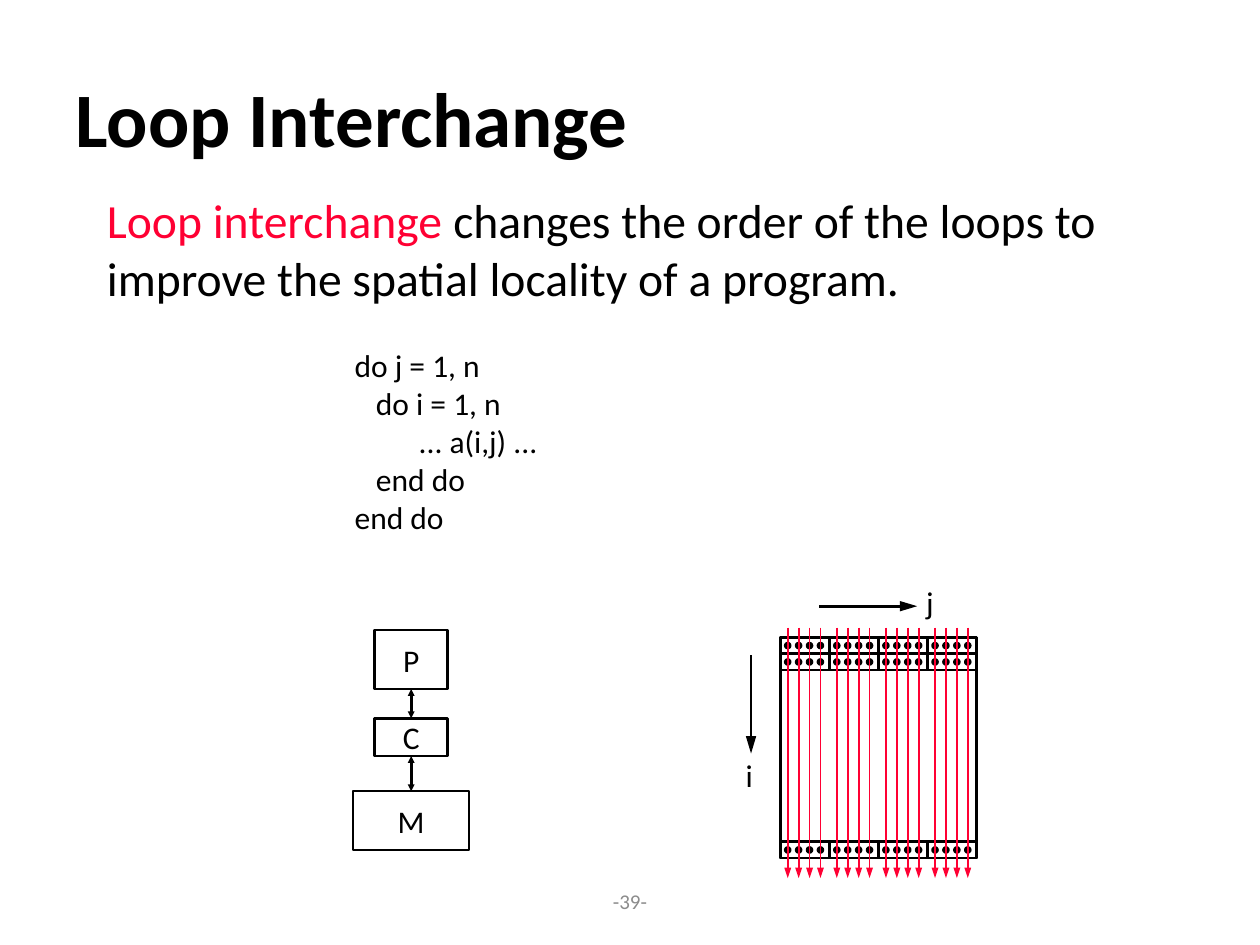
from typing import NamedTuple

import pptx
import pptx.dml.color
import pptx.enum.shapes
import pptx.enum.text
import pptx.oxml.ns
import pptx.util
from lxml import etree

Cm = pptx.util.Cm
Pt = pptx.util.Pt
Shape = pptx.enum.shapes.MSO_SHAPE
Align = pptx.enum.text.PP_ALIGN
Anchor = pptx.enum.text.MSO_ANCHOR
qn = pptx.oxml.ns.qn

FONT = "Calibri"
BLACK, WHITE, RED, GREY = "000000", "FFFFFF", "FF0033", "8C8C8C"


class Box(NamedTuple):
    """Position and size in centimetres."""
    x: float
    y: float
    w: float
    h: float


class Level(NamedTuple):
    """One level of the memory hierarchy."""
    label: str
    y: float
    w: float
    h: float


class CodeLine(NamedTuple):
    text: str
    depth: int = 0


class ArrowStyle(NamedTuple):
    color: str
    width: float
    head_width: str
    head_length: str
    ends: tuple[str, ...] = ("a:tailEnd",)


TRANSFER = ArrowStyle(BLACK, 1.5, "sm", "sm", ("a:headEnd", "a:tailEnd"))
TRAVERSAL = ArrowStyle(RED, 1, "sm", "med")
DIRECTION = ArrowStyle(BLACK, 1.5, "med", "lg")


def rgb(color: str):
    return pptx.dml.color.RGBColor.from_string(color)


def place(sp, box: Box) -> None:
    sp.left, sp.top, sp.width, sp.height = map(Cm, box)


def format_run(r, size: float, color: str = BLACK, bold: bool = False) -> None:
    r.font.name, r.font.size, r.font.bold = FONT, Pt(size), bold
    r.font.color.rgb = rgb(color)


def set_indent(p, indent: float) -> None:
    pPr = p._p.get_or_add_pPr()
    pPr.set("marL", str(Cm(indent)))
    pPr.set("indent", "0")


def add_shape(shapes, kind, box: Box, fill: str = WHITE):
    sp = shapes.add_shape(kind, *map(Cm, box))
    sp.shadow.inherit = False
    sp.fill.solid()
    sp.fill.fore_color.rgb = rgb(fill)
    sp.line.color.rgb = rgb(BLACK)
    sp.line.width = Pt(1.5)
    return sp


def add_arrow(shapes, x1: float, y1: float, x2: float, y2: float,
              style: ArrowStyle) -> None:
    arrow = shapes.add_connector(pptx.enum.shapes.MSO_CONNECTOR.STRAIGHT,
                                 Cm(x1), Cm(y1), Cm(x2), Cm(y2))
    arrow.line.color.rgb = rgb(style.color)
    arrow.line.width = Pt(style.width)
    spPr = arrow._element.spPr
    ln = spPr.find(qn("a:ln"))
    for end in style.ends:
        etree.SubElement(ln, qn(end), type="triangle",
                         w=style.head_width, len=style.head_length)
    etree.SubElement(spPr, qn("a:effectLst"))


def add_text(shapes, box: Box, text: str, size: float = 18, color: str = BLACK,
             align=Align.LEFT, anchor=Anchor.TOP):
    tf = shapes.add_textbox(*map(Cm, box)).text_frame
    tf.word_wrap = True
    tf.vertical_anchor = anchor
    tf.text = text
    for p in tf.paragraphs:
        p.alignment = align
        format_run(p.runs[0], size, color)
    return tf


def add_title(s) -> None:
    title = s.shapes.title
    place(title, Box(1.27, 0.76, 22.86, 3.18))
    tf = title.text_frame
    tf.text = "Loop Interchange"
    tf.vertical_anchor = Anchor.MIDDLE
    p = tf.paragraphs[0]
    p.alignment = Align.LEFT
    format_run(p.runs[0], 44, bold=True)


def add_body(s) -> None:
    body = s.placeholders[1]
    place(body, Box(1.9, 3.73, 21.6, 2.1))
    tf = body.text_frame
    tf.auto_size = pptx.enum.text.MSO_AUTO_SIZE.NONE
    p = tf.paragraphs[0]
    set_indent(p, 0)
    etree.SubElement(p._p.get_or_add_pPr(), qn("a:buNone"))
    for text, color in (
        ("Loop interchange", RED),
        (" changes the order of the loops to improve the spatial locality"
         " of a program.", BLACK),
    ):
        r = p.add_run()
        r.text = text
        format_run(r, 27.2, color)


def add_loop_nest(shapes) -> None:
    depth_indent = 0.43
    code = [CodeLine("do j = 1, n"), CodeLine("do i = 1, n", 1),
            CodeLine("... a(i,j) ...", 3), CodeLine("end do", 1),
            CodeLine("end do")]
    tf = add_text(shapes, Box(6.9, 6.86, 4.95, 4.06),
                  "\n".join(line.text for line in code))
    for p, line in zip(tf.paragraphs, code):
        set_indent(p, line.depth * depth_indent)


def add_hierarchy(shapes) -> None:
    center = 8.29
    levels = [Level("P", 12.7, 1.47, 1.19), Level("C", 14.48, 1.47, 0.76),
              Level("M", 15.95, 2.34, 1.19)]
    for level in levels:
        box = Box(center - level.w / 2, level.y, level.w, level.h)
        tf = add_shape(shapes, Shape.RECTANGLE, box).text_frame
        tf.margin_top = tf.margin_bottom = 0
        tf.vertical_anchor = Anchor.MIDDLE
        tf.text = level.label
        p = tf.paragraphs[0]
        p.alignment = Align.CENTER
        format_run(p.runs[0], 18)
    for upper, lower in zip(levels, levels[1:]):
        add_arrow(shapes, center, lower.y, center, upper.y + upper.h, TRANSFER)


def add_array(shapes) -> None:
    frame = Box(15.73, 12.85, 3.96, 4.45)
    line_count, elements_per_line = 4, 4
    cell_w, cell_h, dot = frame.w / line_count, 0.33, 0.1
    first_element, element_gap = 0.15, 0.22
    cells = [frame.x + i * cell_w for i in range(line_count)]
    rows = [frame.y, frame.y + cell_h, frame.y + frame.h - cell_h]
    columns = [x + first_element + k * element_gap
               for x in cells for k in range(elements_per_line)]

    # Cache lines and their elements
    grid = shapes.add_group_shape().shapes
    add_shape(grid, Shape.RECTANGLE, frame)
    for y in rows:
        for x in cells:
            add_shape(grid, Shape.RECTANGLE, Box(x, y, cell_w, cell_h))
        for x in columns:
            box = Box(x - dot / 2, y + (cell_h - dot) / 2, dot, dot)
            add_shape(grid, Shape.OVAL, box, BLACK)

    # Column-wise traversal
    order = shapes.add_group_shape().shapes
    overhang = 0.2
    for x in columns:
        add_arrow(order, x, frame.y - overhang,
                  x, frame.y + frame.h + 2 * overhang, TRAVERSAL)

    # Index directions
    add_arrow(order, 15.14, 13.21, 15.14, 15.19, DIRECTION)
    add_arrow(order, 16.51, 12.22, 18.49, 12.22, DIRECTION)
    add_text(order, Box(14.78, 15.11, 0.69, 1.02), "i")
    add_text(order, Box(18.42, 11.63, 0.76, 1.02), "j")


def main() -> None:
    prs = pptx.Presentation()
    prs.slide_width, prs.slide_height = Cm(25.4), Cm(19.05)
    s = prs.slides.add_slide(prs.slide_layouts[1])
    add_title(s)
    add_body(s)
    # Page number
    add_text(s.shapes, Box(8.68, 17.65, 8.04, 1.02), "-39-", 12, GREY,
             Align.CENTER, Anchor.MIDDLE)
    add_loop_nest(s.shapes)
    add_hierarchy(s.shapes)
    add_array(s.shapes)
    prs.save("out.pptx")


if __name__ == "__main__":
    main()
